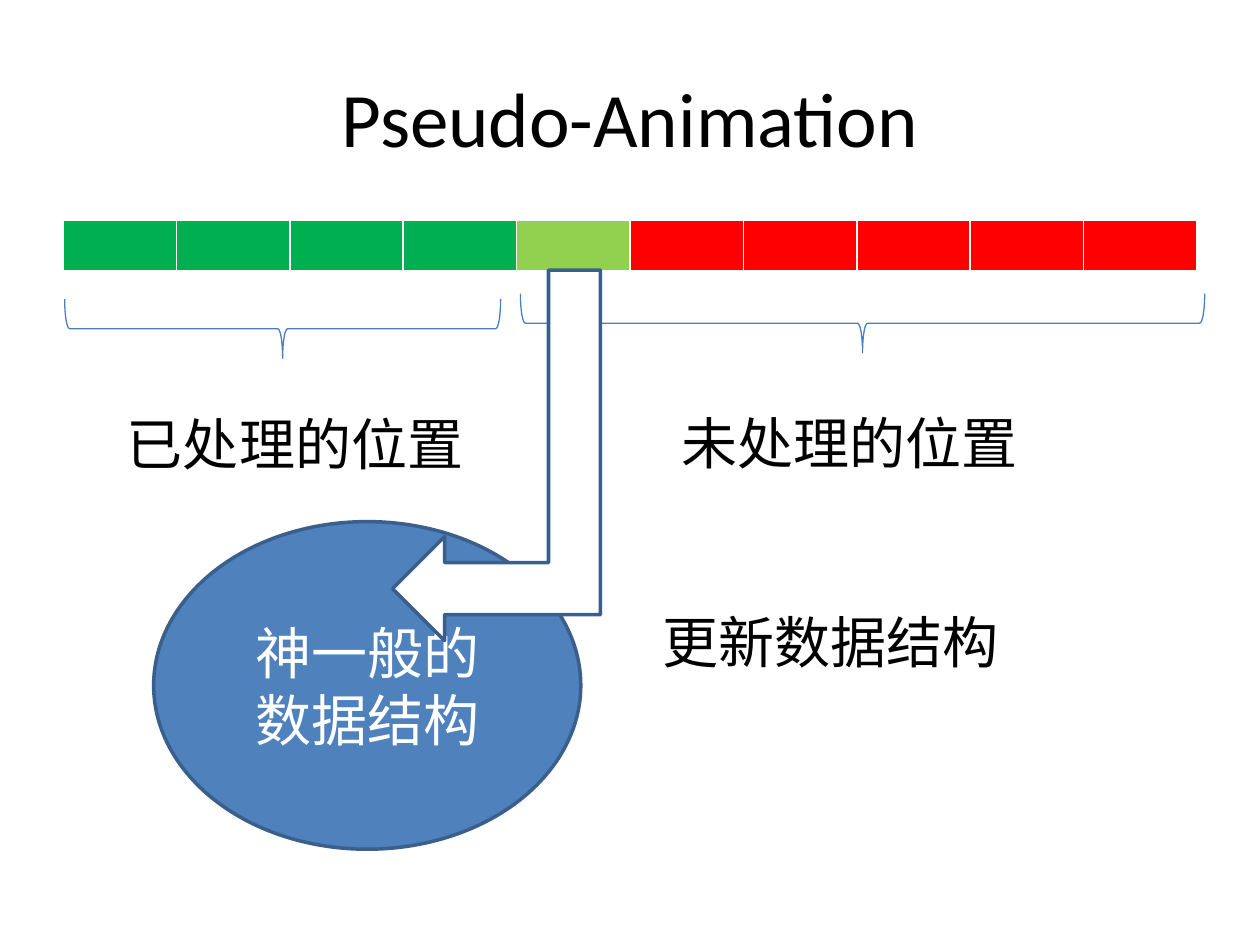
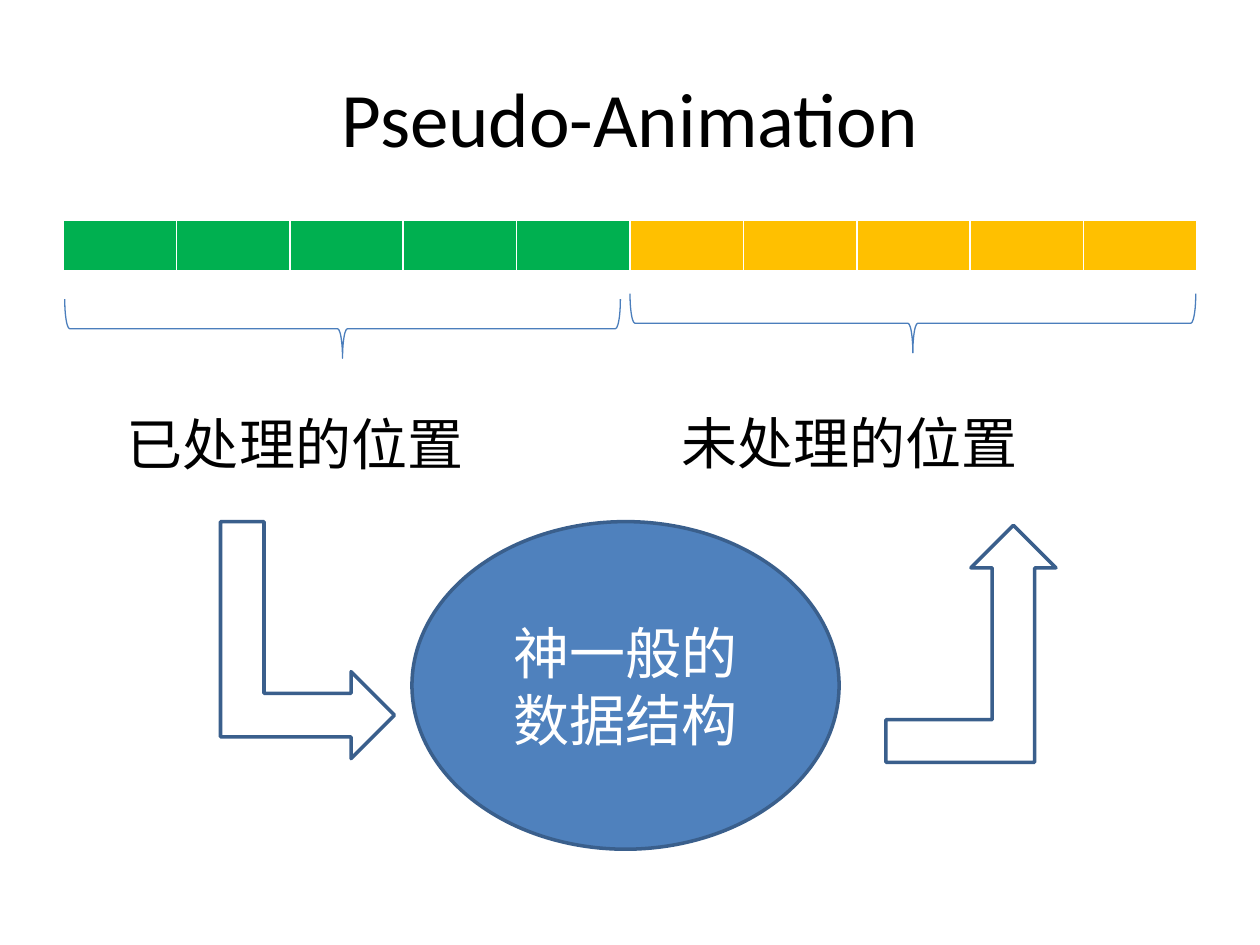
from lxml.etree import SubElement as Sub
from pptx import Presentation
from pptx.dml.color import RGBColor as Rgb
from pptx.enum.shapes import MSO_SHAPE as Kind
from pptx.enum.text import MSO_ANCHOR as Anchor, MSO_AUTO_SIZE as Fit, PP_ALIGN as Align
from pptx.oxml.ns import qn
from pptx.util import Pt

HUES = {
    "ink": "000000", "white": "FFFFFF", "blue": "4F81BD", "edge": "3A5F8C",
    "brace": "4B7EBC", "done": "00B050", "now": "92D050",
    "todo": "FF0000", "fresh": "FFC000",
}
FONT = "Calibri"
EDGES = {"a:lnL": 1, "a:lnR": 1, "a:lnT": 1, "a:lnB": 3}


def hue(name):
    return Rgb.from_string(HUES[name])


def pts(*box):
    return [Pt(v) for v in box]


def write(frame, text, size, color="ink", align=Align.LEFT):
    para = frame.paragraphs[0]
    para.alignment = align
    run = para.add_run()
    run.text = text
    run.font.size = Pt(size)
    run.font.name = FONT
    run.font.color.rgb = hue(color)


def title(slide, text):
    frame = slide.shapes.add_textbox(*pts(36, 21.6, 648, 90)).text_frame
    frame.word_wrap = True
    frame.vertical_anchor = Anchor.MIDDLE
    write(frame, text, 44, align=Align.CENTER)


def label(slide, box, text):
    frame = slide.shapes.add_textbox(*pts(*box)).text_frame
    frame.word_wrap = True
    frame.auto_size = Fit.SHAPE_TO_FIT_TEXT
    write(frame, text, 32)


def shape(slide, kind, box, line, width, fill=None, turn=0, flip=False):
    """Place a preset shape so that it fills the box after its turn."""
    x, y, w, h = box
    if turn % 180:
        x, y, w, h = x + (w - h) / 2, y + (h - w) / 2, h, w
    part = slide.shapes.add_shape(kind, *pts(x, y, w, h))
    part.shadow.inherit = False
    part.rotation = turn
    if flip:
        part._element.spPr.find(qn("a:xfrm")).set("flipH", "1")
    if fill:
        part.fill.solid()
        part.fill.fore_color.rgb = hue(fill)
    else:
        part.fill.background()
    part.line.color.rgb = hue(line)
    part.line.width = Pt(width)
    return part


def strip(slide, box, cells):
    """One row of coloured cells with white rules."""
    table = slide.shapes.add_table(1, len(cells), *pts(*box)).table
    table.rows[0].height = Pt(box[3])
    for col, cell, name in zip(table.columns, table.rows[0].cells, cells):
        col.width = Pt(box[2] / len(cells))
        props = cell._tc.get_or_add_tcPr()
        for tag, width in EDGES.items():
            rule = Sub(props, qn(tag), w=str(Pt(width)))
            solid = Sub(rule, qn("a:solidFill"))
            Sub(solid, qn("a:srgbClr"), val=HUES["white"])
        cell.fill.solid()
        cell.fill.fore_color.rgb = hue(name)


def brace(slide, left, top, width):
    shape(slide, Kind.LEFT_BRACE, (left, top, width, 33.84), "brace", 0.75, turn=270)


def arrow(slide, box, turn=0, flip=False):
    shape(slide, Kind.BENT_UP_ARROW, box, "edge", 2, "white", turn, flip)


def core(slide, left):
    oval = shape(slide, Kind.OVAL, (left, 298.1, 244.1, 187.2), "edge", 2, "blue")
    frame = oval.text_frame
    frame.word_wrap = True
    frame.vertical_anchor = Anchor.MIDDLE
    write(frame, "神一般的数据结构", 32, "white", Align.CENTER)


def scene(deck, cells, spans, left):
    """Title, strip, two braces with labels, and the oval."""
    slide = deck.slides.add_slide(deck.slide_layouts[6])
    title(slide, "Pseudo-Animation")
    strip(slide, (36, 126, 648, 29.5), cells)
    notes = [(65.5, 230.4, "已处理的位置"), (382.3, 229.7, "未处理的位置")]
    for (start, width), top, (x, y, text) in zip(spans, (170.9, 167.8), notes):
        brace(slide, start, top, width)
        label(slide, (x, y, 221, 46), text)
    core(slide, left)
    return slide


deck = Presentation()
deck.slide_width, deck.slide_height = pts(720, 540)

# The current cell feeds the structure
first = scene(deck, ["done"] * 4 + ["now"] + ["todo"] * 5,
              [(37, 249.1), (297.4, 391)], 87.8)
arrow(first, (224.3, 154.4, 118.8, 211.7), turn=270, flip=True)
label(first, (371.5, 343.4, 232.6, 46), "更新数据结构")

# The structure passes results on to the remaining cells
second = scene(deck, ["done"] * 5 + ["fresh"] * 5,
               [(37, 317.5), (360, 323.3)], 235.4)
arrow(second, (126, 298.1, 99.4, 135.4), turn=90)
arrow(second, (506.2, 300.2, 97.2, 135.4))

deck.save("out.pptx")
